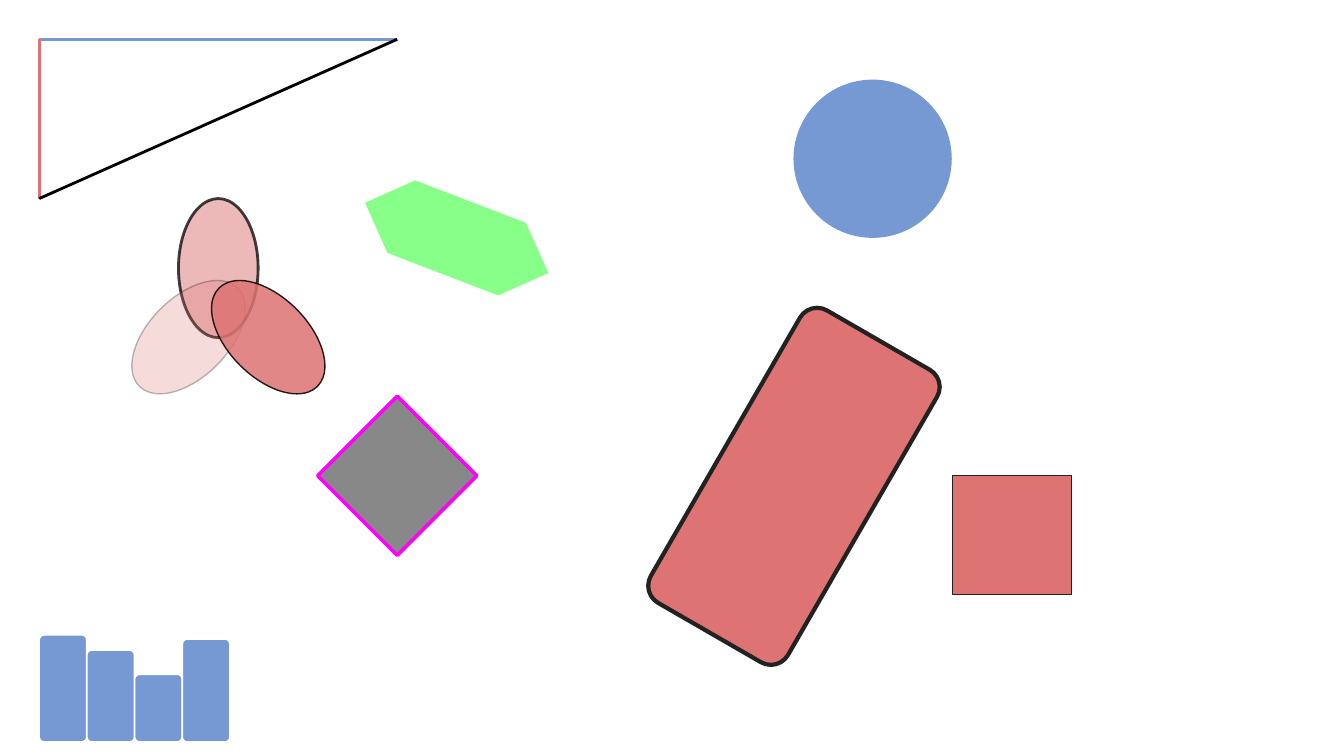
from dataclasses import dataclass
from typing import Optional

from lxml import etree
from pptx import Presentation
from pptx import util as u
from pptx.dml.color import RGBColor
from pptx.enum import shapes as kinds
from pptx.oxml import ns

COLORS = {
    "blue": "7699D4",
    "red": "DD7373",
    "ink": "222222",
    "black": "000000",
    "white": "FFFFFF",
    "gray": "888888",
    "magenta": "FF00FF",
    "green": "88FF88",
}
KIND = kinds.MSO_SHAPE


@dataclass
class Style:
    fill: str
    line: Optional[str] = None
    width: float = 1
    opacity: int = 100
    line_opacity: int = 100


@dataclass
class Figure:
    kind: KIND
    left: float
    top: float
    width: float
    height: float
    style: Style
    rotation: float = 0
    corner: Optional[float] = None


@dataclass
class Side:
    start: tuple[float, float]
    end: tuple[float, float]
    color: str


@dataclass
class Polygon:
    center: tuple[float, float]
    offsets: list[tuple[float, float]]
    style: Style
    rotation: float = 0


def rgb(name: str) -> RGBColor:
    return RGBColor.from_string(COLORS[name])


def set_opacity(fill_parent, percent: int) -> None:
    """Add transparency to the solid fill directly under the given element."""
    if percent < 100:
        color = fill_parent.find(f"{ns.qn('a:solidFill')}/{ns.qn('a:srgbClr')}")
        etree.SubElement(color, ns.qn("a:alpha"), val=str(percent * 1000))


def apply_style(shape, style: Style) -> None:
    shape.shadow.inherit = False
    shape.fill.solid()
    shape.fill.fore_color.rgb = rgb(style.fill)
    properties = shape.element.spPr
    set_opacity(properties, style.opacity)
    if style.line is None:
        shape.line.fill.background()
        return
    shape.line.color.rgb = rgb(style.line)
    shape.line.width = u.Pt(style.width)
    set_opacity(properties.find(ns.qn("a:ln")), style.line_opacity)


def draw_figure(target, figure: Figure) -> None:
    box = (figure.left, figure.top, figure.width, figure.height)
    shape = target.add_shape(figure.kind, *map(u.Inches, box))
    if figure.corner is not None:
        shape.adjustments[0] = figure.corner
    shape.rotation = figure.rotation
    apply_style(shape, figure.style)


def draw_side(target, side: Side) -> None:
    ends = map(u.Inches, (*side.start, *side.end))
    line = target.add_connector(kinds.MSO_CONNECTOR.STRAIGHT, *ends)
    line.line.color.rgb = rgb(side.color)
    line.line.width = u.Pt(2)
    etree.SubElement(line.element.spPr, ns.qn("a:effectLst"))


def draw_polygon(target, polygon: Polygon) -> None:
    x, y = polygon.center
    points = [(u.Inches(x + dx), u.Inches(y + dy)) for dx, dy in polygon.offsets]
    builder = target.build_freeform(*points[0])
    builder.add_line_segments(points[1:], close=True)
    shape = builder.convert_to_shape()
    shape.rotation = polygon.rotation
    apply_style(shape, polygon.style)


# Single figures
SINGLES = [
    Figure(KIND.OVAL, 7.87, 0.79, 1.57, 1.57, Style("blue")),
    Figure(KIND.ROUNDED_RECTANGLE, 7.09, 3.15, 1.57, 3.35,
           Style("red", "ink", 3), rotation=30, corner=0.125),
    Figure(KIND.ROUNDED_RECTANGLE, 9.45, 4.72, 1.18, 1.18,
           Style("red", "ink"), corner=0),
]

# Triangle
CORNER, RIGHT, BOTTOM = (0.39, 0.39), (3.94, 0.39), (0.39, 1.97)
TRIANGLE = [
    Side(CORNER, RIGHT, "blue"),
    Side(CORNER, BOTTOM, "red"),
    Side(RIGHT, BOTTOM, "black"),
]

# Petals
PETALS = [
    Figure(KIND.OVAL, 1.77, 1.97, 0.79, 1.38, Style("red", "black", 2, 50, 75)),
    Figure(KIND.OVAL, 1.18, 2.95, 1.38, 0.79,
           Style("red", "black", 1, 25, 25), rotation=315),
    Figure(KIND.OVAL, 1.97, 2.95, 1.38, 0.79,
           Style("red", "black", 1, 85, 85), rotation=45),
]

# Diamond and hexagon
POLYGONS = [
    Polygon((3.94, 4.72), [(0, -0.79), (0.79, 0), (0, 0.79), (-0.79, 0)],
            Style("gray", "magenta", 2.5)),
    Polygon((4.53, 2.36),
            [(0.59, -0.39), (0.98, 0), (0.59, 0.39),
             (-0.59, 0.39), (-0.98, 0), (-0.59, -0.39)],
            Style("green", "white", 0.5), rotation=21),
]

# Bars standing on a common base
BAR_BASE, BAR_LEFT, BAR_SPAN = 7.36, 0.39, 1.42
BAR_HEIGHTS = [1.06, 0.91, 0.67, 1.02]
BAR_PITCH = BAR_SPAN / (len(BAR_HEIGHTS) - 1)
BARS = [
    Figure(KIND.ROUNDED_RECTANGLE, BAR_LEFT + i * BAR_PITCH, BAR_BASE - height,
           0.47, height, Style("blue", "white"), corner=0.1)
    for i, height in enumerate(BAR_HEIGHTS)
]


def main() -> None:
    deck = Presentation()
    deck.slide_width, deck.slide_height = u.Inches(13.33), u.Inches(7.5)
    slide = deck.slides.add_slide(deck.slide_layouts[6])

    for figure in SINGLES:
        draw_figure(slide.shapes, figure)

    groups = [
        (draw_side, TRIANGLE),
        (draw_figure, PETALS),
        (draw_polygon, POLYGONS),
        (draw_figure, BARS),
    ]
    for draw, members in groups:
        group = slide.shapes.add_group_shape()
        for member in members:
            draw(group.shapes, member)

    deck.save("out.pptx")


if __name__ == "__main__":
    main()
